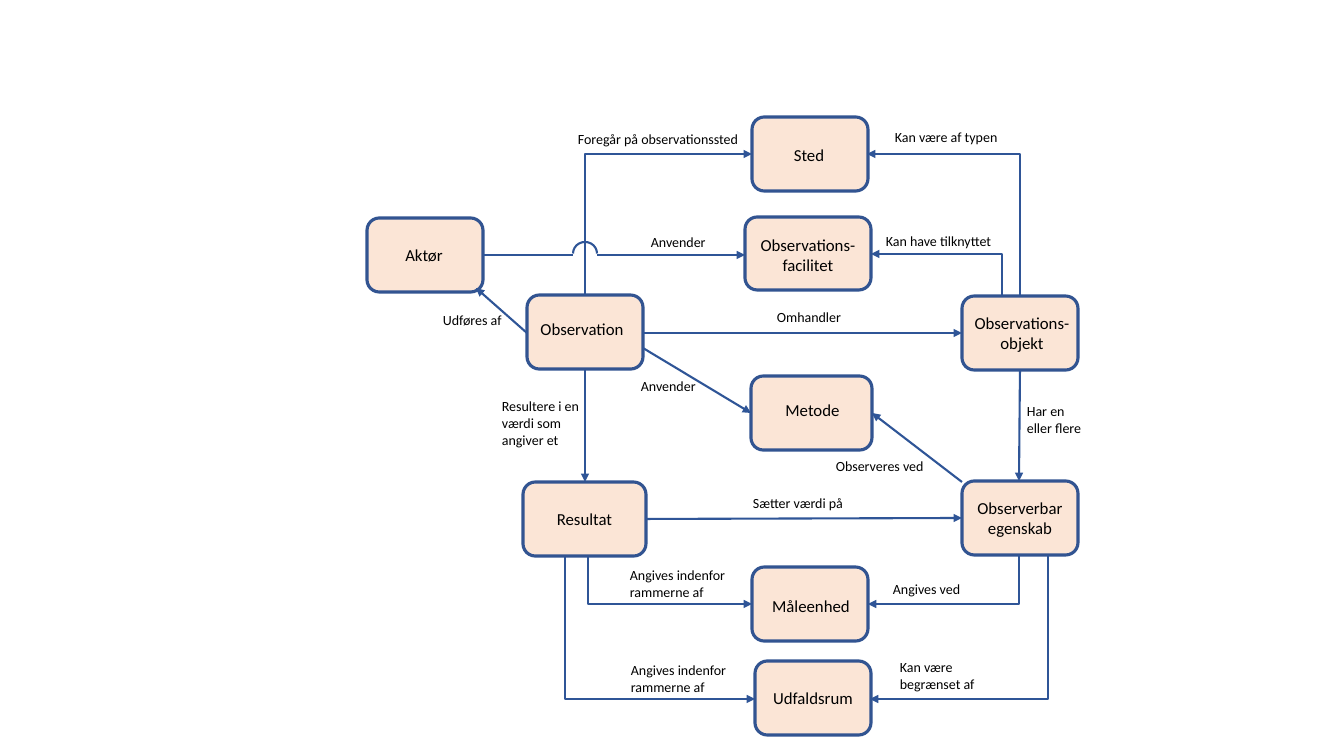
from lxml import etree
from pptx import Presentation
from pptx.dml.color import RGBColor
from pptx.enum.shapes import MSO_CONNECTOR, MSO_SHAPE
from pptx.enum.text import MSO_ANCHOR, PP_ALIGN
from pptx.oxml.ns import qn
from pptx.util import Pt

PX = 914400 / 100.8
SLIDE_SIZE = (1344, 756)
FONT = "Calibri"
PEACH = RGBColor(0xFB, 0xE5, 0xD6)
OUTLINE = RGBColor(0x32, 0x54, 0x91)
BLUE = RGBColor(0x2F, 0x55, 0x97)
BLACK = RGBColor(0, 0, 0)
ROUNDED, ARC = MSO_SHAPE.ROUNDED_RECTANGLE, MSO_SHAPE.ARC
STRAIGHT, ELBOW = MSO_CONNECTOR.STRAIGHT, MSO_CONNECTOR.ELBOW
CENTER, LEFT = PP_ALIGN.CENTER, PP_ALIGN.LEFT
MIDDLE, TOP = MSO_ANCHOR.MIDDLE, MSO_ANCHOR.TOP

# Concepts: text, (left, top, width, height), (right, down) shift of the text
CONCEPTS = [
    ("Observerbar\negenskab", (962, 481, 116, 74), (0, 0)),
    ("Resultat", (523, 482, 123, 74), (0, 0)),
    ("Metode", (751, 376, 121, 74), (1, -3)),
    ("Observation", (527, 295, 116, 74), (-3, -3)),
    ("Observations-\nobjekt", (962, 296, 116, 74), (2, 0)),
    ("Observations-\nfacilitet", (745, 217, 126, 73), (0, 1)),
    ("Måleenhed", (752, 567, 116, 74), (1, 2)),
    ("Udfaldsrum", (755, 661, 116, 74), (0, 0)),
    ("Aktør", (367, 218, 116, 74), (-1, 0)),
    ("Sted", (752, 117, 116, 74), (-1, 1)),
]

# Relation labels: text, (left, top, width), number of lines
LABELS = [
    ("Omhandler", (767, 304, 103), 1),
    ("Resultere i en\nværdi som\nangiver et", (492, 393, 136), 3),
    ("Har en\neller flere", (1017, 398, 147), 2),
    ("Sætter værdi på", (743, 490, 134), 1),
    ("Anvender", (631, 373, 103), 1),
    ("Observeres ved", (826, 453, 127), 1),
    ("Anvender", (641, 229, 95), 1),
    ("Angives ved", (883, 576, 134), 1),
    ("Angives indenfor rammerne af", (620, 562, 134), 2),
    ("Kan have tilknyttet", (876, 228, 152), 1),
    ("Foregår på observationssted", (568, 126, 188), 1),
    ("Udføres af", (433, 307, 95), 1),
    ("Kan være\nbegrænset af", (890, 654, 166), 2),
    ("Kan være af typen", (885, 124, 161), 1),
    ("Angives indenfor rammerne af", (621, 657, 134), 2),
]

# Straight arrows: start x, start y, end x, end y
STRAIGHT_ARROWS = [
    (585, 370, 585, 482),    # Observation to Resultat
    (643, 333, 962, 333),    # Observation to Observationsobjekt
    (1020, 370, 1019, 481),  # Observationsobjekt to Observerbar egenskab
    (646, 519, 962, 518),    # Resultat to Observerbar egenskab
    (643, 348, 751, 413),    # Observation to Metode
    (962, 482, 872, 413),    # Observerbar egenskab to Metode
    (527, 333, 476, 288),    # Observation to Aktør
    (597, 255, 745, 255),    # Aktør to Observationsfacilitet, after the bridge
]

# Elbow arrows run vertically first, then horizontally
ELBOW_ARROWS = [
    (585, 295, 752, 154),    # Observation to Sted
    (1020, 296, 867, 154),   # Observationsobjekt to Sted
    (1002, 296, 871, 254),   # Observationsobjekt to Observationsfacilitet
    (588, 557, 752, 604),    # Resultat to Måleenhed
    (1019, 555, 868, 604),   # Observerbar egenskab to Måleenhed
    (565, 557, 755, 699),    # Resultat to Udfaldsrum
    (1048, 555, 870, 699),   # Observerbar egenskab to Udfaldsrum
]

# The line from Aktør bridges the line from Observation to Sted
BRIDGE_APPROACH = (483, 255, 573, 255)
BRIDGE = (573, 242, 24, 23)


def emu(lengths):
    return [round(length * PX) for length in lengths]


def write(shape, text, size, align, **frame_format):
    frame = shape.text_frame
    for name, value in frame_format.items():
        setattr(frame, name, value)
    for index, line in enumerate(text.split("\n")):
        para = frame.add_paragraph() if index else frame.paragraphs[0]
        para.alignment = align
        span = para.add_run()
        span.text = line
        for name, value in {"name": FONT, "size": Pt(size)}.items():
            setattr(span.font, name, value)
        span.font.color.rgb = BLACK


def stroke(shape, color, width):
    shape.line.color.rgb = color
    shape.line.width = Pt(width)


def add_line(page, kind, ends, arrow=True):
    link = page.shapes.add_connector(kind, *emu(ends))
    stroke(link, BLUE, 1.5)
    properties = link._element.spPr
    etree.SubElement(properties, qn("a:effectLst"))
    if arrow:
        etree.SubElement(properties.find(qn("a:ln")), qn("a:tailEnd"), type="triangle")
    if kind == ELBOW:
        guides = properties.find(qn("a:prstGeom")).find(qn("a:avLst"))
        etree.SubElement(guides, qn("a:gd"), name="adj1", fmla="val 0")


def add_concept(page, text, place, shift):
    box = page.shapes.add_shape(ROUNDED, *emu(place))
    box.shadow.inherit = False
    box.fill.solid()
    box.fill.fore_color.rgb = PEACH
    stroke(box, OUTLINE, 2.25)
    right, down = shift
    # A margin on one side moves centred text by half of it
    margins = emu(max(0, 2 * move) for move in (right, -right, down, -down))
    sides = ("margin_left", "margin_right", "margin_top", "margin_bottom")
    write(box, text, 12, CENTER, vertical_anchor=MIDDLE, word_wrap=True,
          **dict(zip(sides, margins)))


def add_label(page, text, place, lines):
    label = page.shapes.add_textbox(*emu((*place, 10 + 17 * lines)))
    write(label, text, 10, LEFT, vertical_anchor=TOP, word_wrap=True)


def main():
    deck = Presentation()
    deck.slide_width, deck.slide_height = emu(SLIDE_SIZE)
    page = deck.slides.add_slide(deck.slide_layouts[6])

    # Concept boxes
    for concept in CONCEPTS:
        add_concept(page, *concept)

    # Arrows
    for ends in STRAIGHT_ARROWS:
        add_line(page, STRAIGHT, ends)
    for ends in ELBOW_ARROWS:
        add_line(page, ELBOW, ends)

    # Bridge: upper half circle
    add_line(page, STRAIGHT, BRIDGE_APPROACH, arrow=False)
    bridge = page.shapes.add_shape(ARC, *emu(BRIDGE))
    bridge.shadow.inherit = False
    bridge.fill.background()
    stroke(bridge, BLUE, 1.5)
    bridge.adjustments[0], bridge.adjustments[1] = 108, 0

    # Relation labels
    for label in LABELS:
        add_label(page, *label)

    deck.save("out.pptx")


if __name__ == "__main__":
    main()
